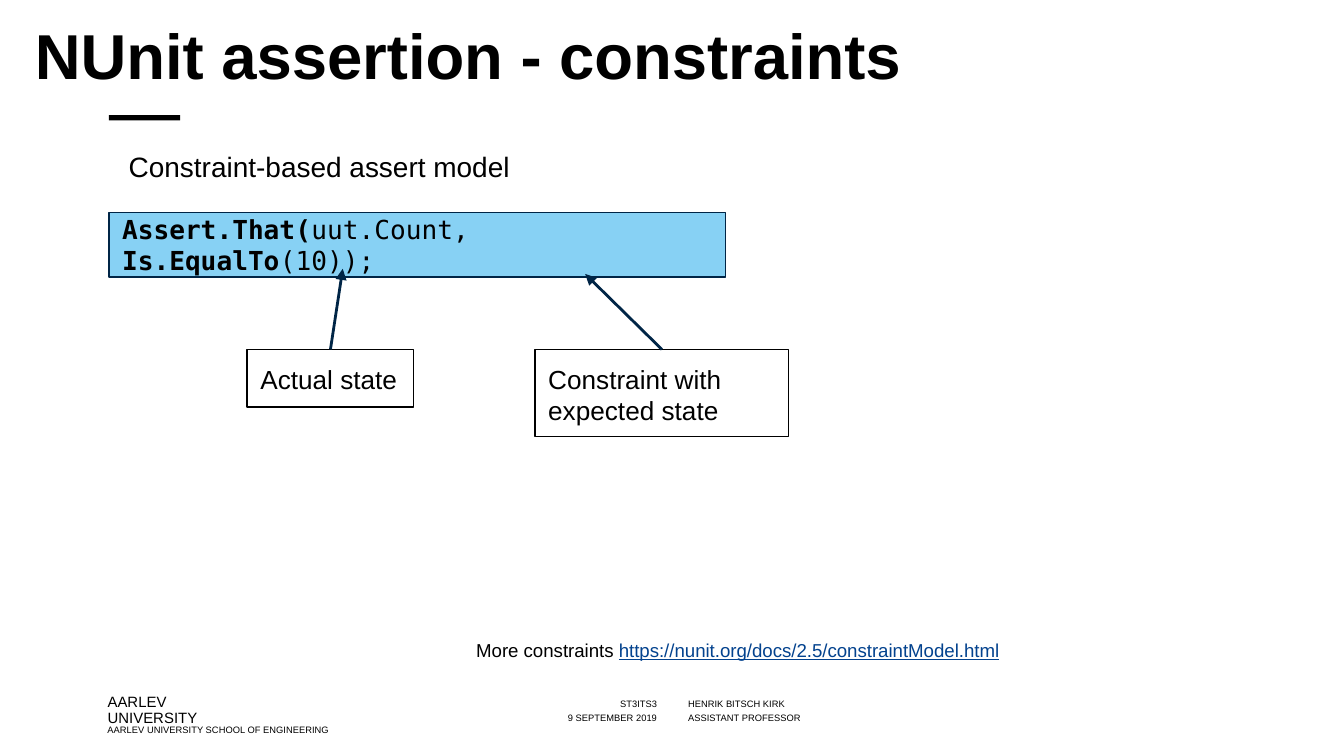
"""Builds a slide that explains constraint-based assertions in NUnit."""

from dataclasses import dataclass

import lxml.etree
import pptx
import pptx.dml.color
import pptx.enum.shapes
import pptx.enum.text
import pptx.oxml
import pptx.oxml.ns
import pptx.util

Pt = pptx.util.Pt
Align = pptx.enum.text.PP_ALIGN
Anchor = pptx.enum.text.MSO_ANCHOR
BLACK, WHITE, NAVY, SKY, LINK = "000000", "FFFFFF", "002546", "87D1F4", "03428E"
PADDING = (7.2, 7.2, 7.2, 7.2)


@dataclass
class Span:
    text: str
    bold: bool = False
    underline: bool = False
    color: str = BLACK


@dataclass
class FooterLine:
    text: str
    left: float
    top: float
    width: float
    height: float = 6
    align: Align = Align.LEFT
    size: float = 5
    spacing: float = 0.95


@dataclass
class Callout:
    text: str
    left: float
    width: float
    height: float
    tip: tuple[float, float]


def rgb(color: str) -> pptx.dml.color.RGBColor:
    return pptx.dml.color.RGBColor.from_string(color)


def write(holder, *spans: Span, size: float, font="Arial", align=Align.LEFT, anchor=Anchor.TOP,
          insets=(0, 0, 0, 0), spacing=1.0, before=0.0, indent=0.0) -> None:
    frame = holder.text_frame
    frame.word_wrap = True
    frame.vertical_anchor = anchor
    frame.margin_left, frame.margin_top, frame.margin_right, frame.margin_bottom = map(Pt, insets)
    paragraph = frame.paragraphs[0]
    paragraph.alignment = align
    paragraph.line_spacing = spacing
    paragraph.space_before = Pt(before)
    if indent:
        paragraph._p.get_or_add_pPr().set("marL", str(Pt(indent)))
    for span in spans:
        for number, line in enumerate(span.text.split("\n")):
            if number:
                paragraph.add_line_break()
            run = paragraph.add_run()
            run.text = line
            run.font.name = font
            run.font.size = Pt(size)
            run.font.bold = span.bold
            run.font.underline = span.underline
            run.font.color.rgb = rgb(span.color)


def add_text(slide, left: float, top: float, width: float, height: float, *spans: Span, **text_format):
    holder = slide.shapes.add_textbox(Pt(left), Pt(top), Pt(width), Pt(height))
    write(holder, *spans, **text_format)
    return holder


def add_box(slide, left: float, top: float, width: float, height: float,
            fill: str | None = None, line: str | None = None):
    box = slide.shapes.add_shape(pptx.enum.shapes.MSO_SHAPE.RECTANGLE,
                                 Pt(left), Pt(top), Pt(width), Pt(height))
    box.shadow.inherit = False
    if fill:
        box.fill.solid()
        box.fill.fore_color.rgb = rgb(fill)
    else:
        box.fill.background()
    if line:
        box.line.color.rgb = rgb(line)
        box.line.width = Pt(0.75)
    else:
        box.line.fill.background()
    return box


def add_callout(slide, callout: Callout, top: float) -> None:
    box = add_box(slide, callout.left, top, callout.width, callout.height, line=BLACK)
    write(box, Span(callout.text), size=14, insets=PADDING)
    tip_x, tip_y = callout.tip
    arrow = slide.shapes.add_connector(pptx.enum.shapes.MSO_CONNECTOR.STRAIGHT,
                                       Pt(callout.left + callout.width / 2), Pt(top), Pt(tip_x), Pt(tip_y))
    arrow.begin_connect(box, 0)
    arrow.line.color.rgb = rgb(NAVY)
    arrow.line.width = Pt(1.5)
    qn = pptx.oxml.ns.qn
    lxml.etree.SubElement(arrow.line._get_or_add_ln(), qn("a:tailEnd"), type="triangle")
    lxml.etree.SubElement(arrow._element.spPr, qn("a:effectLst"))


FOOTER = [
    FooterLine("ST3ITS3", 218.2, 374.4, 133.9, align=Align.RIGHT),
    FooterLine("HENRIK BITSCH KIRK", 368.6, 374.4, 176.4),
    FooterLine("9 SEPTEMBER 2019", 218.2, 382, 133.9, align=Align.RIGHT),
    FooterLine("ASSISTANT PROFESSOR", 368.6, 382, 176.4),
    FooterLine("AARLEV UNIVERSITY SCHOOL OF ENGINEERING", 57.6, 388.6, 139),
    FooterLine("AARLEV\nUNIVERSITY", 57.6, 372.2, 65.5, height=16.5, size=8, spacing=0.9),
]
CALLOUTS = [
    Callout("Actual state", 132.4, 89.3, 30.8, (183.6, 144)),
    Callout("Constraint with expected state", 286.6, 136, 46.7, (313.5, 146.8)),
]


def main() -> None:
    deck = pptx.Presentation()
    deck.slide_width, deck.slide_height = Pt(720), Pt(405)
    slide = deck.slides.add_slide(deck.slide_layouts[6])

    for line in FOOTER:
        add_text(slide, line.left, line.top, line.width, line.height, Span(line.text), size=line.size,
                 align=line.align, spacing=line.spacing)
    add_box(slide, 0, 0, 720, 347.8, fill=WHITE)
    add_box(slide, 58.3, 61.7, 38.2, 2.9, fill=BLACK)

    add_text(slide, 18.7, 13.7, 682.6, 44.6, Span("NUnit assertion - constraints", bold=True),
             size=34, spacing=0.89)
    add_text(slide, 58.3, 81, 603.4, 28.1, Span("Constraint-based assert model"),
             size=15, spacing=0.99, before=5, indent=10.6)
    add_text(slide, 248, 336, 414, 26.6, Span("More constraints "),
             Span("https://nunit.org/docs/2.5/constraintModel.html", underline=True, color=LINK),
             size=10, insets=PADDING)

    code = add_box(slide, 58.3, 113.8, 330.5, 34.7, fill=SKY, line=NAVY)
    write(code, Span("Assert.That(", bold=True), Span("uut.Count, "), Span("Is.EqualTo", bold=True),
          Span("(10));"), size=14, font="DejaVu Sans Mono", anchor=Anchor.MIDDLE, insets=PADDING)
    for callout in CALLOUTS:
        add_callout(slide, callout, top=187.2)

    deck.save("out.pptx")


if __name__ == "__main__":
    main()
